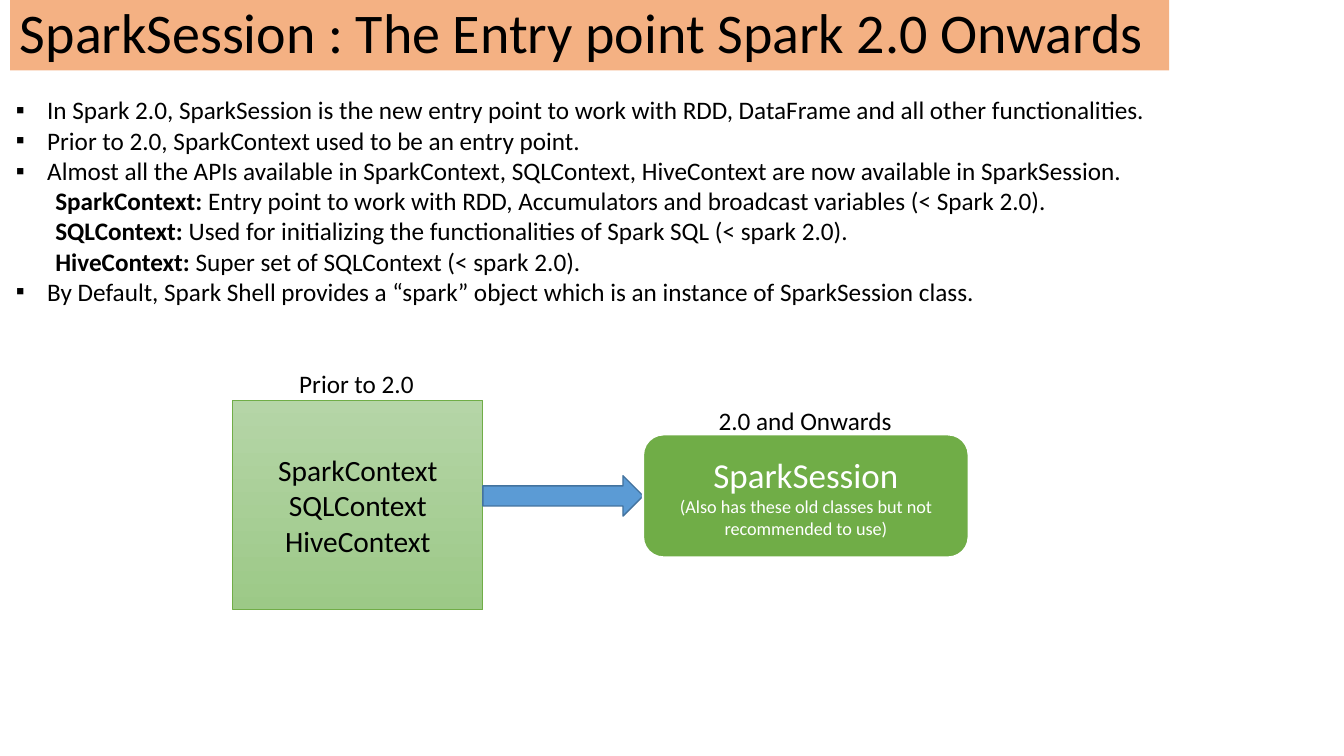
"""Builds the slide that introduces SparkSession as the Spark 2.0 entry point."""
from lxml.etree import SubElement
from pptx import Presentation
from pptx.dml.color import RGBColor
from pptx.enum.shapes import MSO_SHAPE
from pptx.enum.text import MSO_ANCHOR, MSO_AUTO_SIZE, PP_ALIGN
from pptx.oxml.ns import qn
from pptx.util import Inches, Pt

COLUMNS, ROWS = 133.33, 75
CELL = Inches(0.1)
FONT = "Calibri"
COLORS = {
    "ink": "000000", "white": "FFFFFF", "banner": "F4B183",
    "old_top": "B5D5A7", "old_bottom": "9CC987", "green": "70AD47",
    "arrow": "5B9BD5", "arrow_edge": "43739E",
}
POINTS = [
    ("", "In Spark 2.0, SparkSession is the new entry point to work with RDD, "
         "DataFrame and all other functionalities."),
    ("", "Prior to 2.0, SparkContext used to be an entry point."),
    ("", "Almost all the APIs available in SparkContext, SQLContext, "
         "HiveContext are now available in SparkSession."),
    ("SparkContext: ", "Entry point to work with RDD, Accumulators and "
                       "broadcast variables (< Spark 2.0)."),
    ("SQLContext: ", "Used for initializing the functionalities of Spark SQL (< spark 2.0)."),
    ("HiveContext: ", "Super set of SQLContext (< spark 2.0)."),
    ("", "By Default, Spark Shell provides a “spark” object which is an "
         "instance of SparkSession class."),
]


def color(name):
    return RGBColor.from_string(COLORS[name])


def cells(*counts):
    return [round(count * CELL) for count in counts]


def style(run, size, ink="ink", bold=False):
    run.font.name, run.font.size, run.font.bold = FONT, Pt(size), bold
    run.font.color.rgb = color(ink)


def write(frame, lines, ink="ink", align=PP_ALIGN.CENTER):
    frame.text = "\n".join(text for text, _ in lines)
    for paragraph, (_, size) in zip(frame.paragraphs, lines):
        paragraph.alignment = align
        for run in paragraph.runs:
            style(run, size, ink)


def add_block(shapes, kind, place, fill, edge=None, width=0):
    block = shapes.add_shape(kind, *cells(*place))
    block.shadow.inherit = False
    if isinstance(fill, tuple):
        block.fill.gradient()
        block.fill.gradient_angle = 270
        for stop, name in zip(block.fill.gradient_stops, fill):
            stop.color.rgb = color(name)
    else:
        block.fill.solid()
        block.fill.fore_color.rgb = color(fill)
    if edge:
        block.line.color.rgb = color(edge)
        block.line.width = Pt(width)
    else:
        block.line.fill.background()
    block.text_frame.word_wrap = True
    block.text_frame.vertical_anchor = MSO_ANCHOR.MIDDLE
    return block


def add_label(shapes, place, text):
    frame = shapes.add_textbox(*cells(*place)).text_frame
    frame.word_wrap = False
    frame.auto_size = MSO_AUTO_SIZE.SHAPE_TO_FIT_TEXT
    write(frame, [(text, 18)], align=PP_ALIGN.LEFT)


def indent(paragraph, bulleted):
    properties = paragraph._p.get_or_add_pPr()
    left, hanging = cells(3.1, -3.1) if bulleted else cells(3.9, 0)
    properties.set("marL", str(left))
    properties.set("indent", str(hanging))
    if bulleted:
        SubElement(properties, qn("a:buFont"), typeface="Arial")
        SubElement(properties, qn("a:buChar"), char="▪")


def add_points(shapes, place):
    frame = shapes.add_textbox(*cells(*place)).text_frame
    frame.word_wrap = True
    frame.auto_size = MSO_AUTO_SIZE.SHAPE_TO_FIT_TEXT
    for number, (term, text) in enumerate(POINTS):
        paragraph = frame.add_paragraph() if number else frame.paragraphs[0]
        indent(paragraph, bulleted=not term)
        for part, bold in ((term, True), (text, False)):
            if part:
                run = paragraph.add_run()
                run.text = part
                style(run, 18, bold=bold)


def add_migration(shapes):
    before = add_block(shapes, MSO_SHAPE.RECTANGLE, (23.1, 39.7, 24.8, 20.8),
                       ("old_top", "old_bottom"), "green", 0.5)
    write(before.text_frame,
          [(name, 21) for name in ("SparkContext", "SQLContext", "HiveContext")])
    add_block(shapes, MSO_SHAPE.RIGHT_ARROW, (47.9, 47.2, 15.9, 4), "arrow", "arrow_edge", 1)
    after = add_block(shapes, MSO_SHAPE.ROUNDED_RECTANGLE, (63.8, 43.1, 32.3, 12.2),
                      "green", "white", 1.5)
    write(after.text_frame,
          [("SparkSession", 25),
           ("(Also has these old classes but not recommended to use)", 13)], "white")
    add_label(shapes, (28.7, 36, 13.5, 4), "Prior to 2.0")
    add_label(shapes, (70.3, 39.7, 19.4, 4), "2.0 and Onwards")


def main():
    deck = Presentation()
    deck.slide_width, deck.slide_height = cells(COLUMNS, ROWS)
    shapes = deck.slides.add_slide(deck.slide_layouts[6]).shapes
    title = add_block(shapes, MSO_SHAPE.RECTANGLE, (1, 0, 115, 7), "banner")
    write(title.text_frame, [("SparkSession : The Entry point Spark 2.0 Onwards", 40)],
          align=PP_ALIGN.LEFT)
    title.text_frame.paragraphs[0].line_spacing = 0.9
    add_points(shapes, (0.6, 8.9, 130.2, 25.2))
    add_migration(shapes.add_group_shape().shapes)
    deck.save("out.pptx")


if __name__ == "__main__":
    main()
